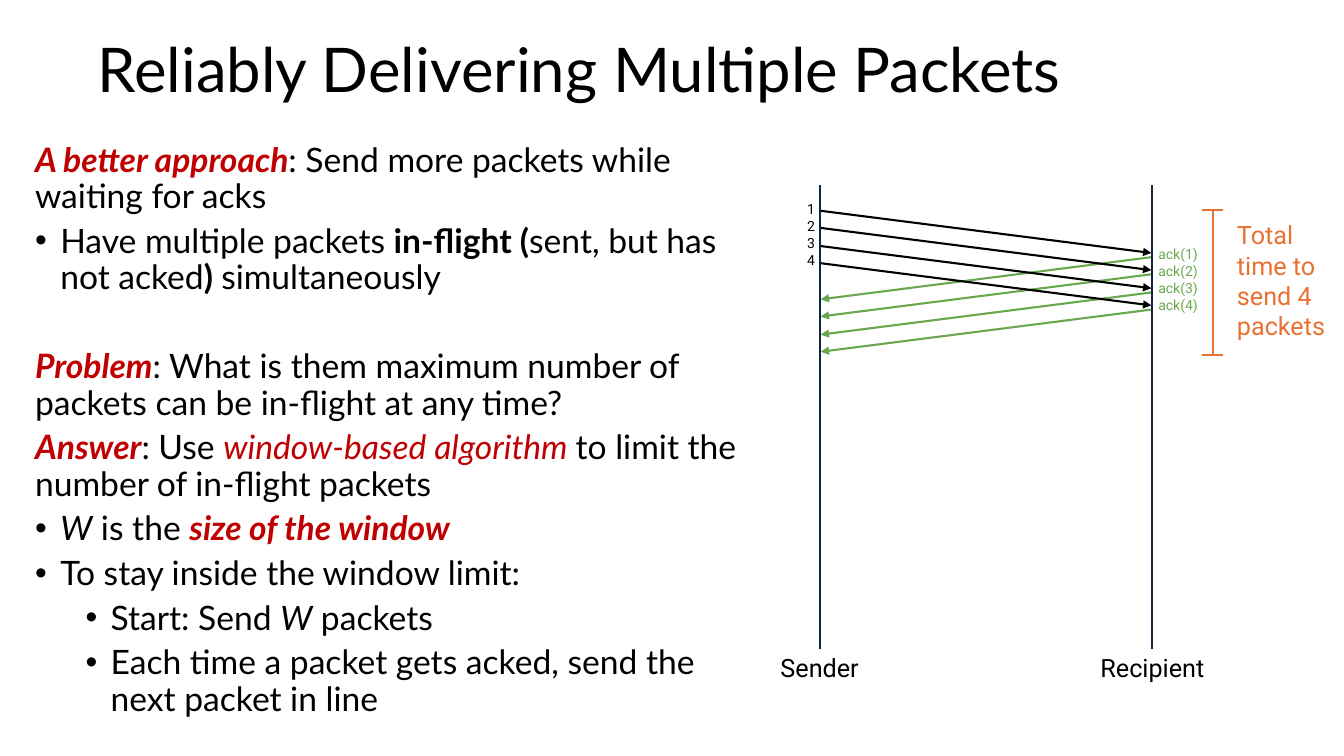
from pptx import Presentation
from pptx import util as u
from pptx.dml.color import RGBColor
from pptx.enum import shapes, text
from pptx.oxml.ns import qn
from lxml import etree

PX = 9144
THEME = {
    "black": "000000", "red": "C00000", "green": "6AA84F",
    "navy": "0E2841", "orange": "E97132",
    "body_font": "Lato", "diagram_font": "Roboto",
    "title": 44, "body": 24, "label": 18, "small": 10, "line": 1.5,
}


def add_text(box, paragraphs, font, size, color, inset=10, align=None):
    shape = slide.shapes.add_textbox(*(value * PX for value in box))
    frame = shape.text_frame
    frame.word_wrap = True
    frame.margin_left = frame.margin_right = 10 * PX
    frame.margin_top = frame.margin_bottom = inset * PX
    for index, runs in enumerate(paragraphs):
        paragraph = frame.paragraphs[0] if index == 0 else frame.add_paragraph()
        paragraph.alignment = align
        for wording, style in runs:
            run = paragraph.add_run()
            run.text = wording
            run.font.name = THEME[font]
            run.font.size = u.Pt(THEME[size])
            run.font.bold = "b" in style
            run.font.italic = "i" in style
            run.font.color.rgb = RGBColor.from_string(THEME["red" if "r" in style else color])
    return shape


def add_line(start, end, color, arrow=False):
    points = (value * PX for value in (*start, *end))
    connector = slide.shapes.add_connector(shapes.MSO_CONNECTOR.STRAIGHT, *points)
    connector.line.color.rgb = RGBColor.from_string(THEME[color])
    connector.line.width = u.Pt(THEME["line"])
    if arrow:
        etree.SubElement(connector.line._get_or_add_ln(), qn("a:tailEnd"), type="triangle")
    etree.SubElement(connector._element.spPr, qn("a:effectLst"))
    return connector


presentation = Presentation()
presentation.slide_width = 1333 * PX
presentation.slide_height = 750 * PX
slide = presentation.slides.add_slide(presentation.slide_layouts[6])

title = add_text((87, 32, 1150, 80), [[("Reliably Delivering Multiple Packets", "")]],
                 "body_font", "title", "black")
title.text_frame.vertical_anchor = text.MSO_ANCHOR.MIDDLE
title.text_frame.paragraphs[0].line_spacing = 0.9

# Each entry: left margin in px (0 means no bullet), space before in points, runs.
body_paragraphs = [
    (0, 6, [("A better approach", "bir"), (": Send more packets while waiting for acks", "")]),
    (25, 6, [("Have multiple packets ", ""), ("in-flight (", "b"), ("sent, but has not acked", ""),
             (") ", "b"), ("simultaneously", "")]),
    (0, 38, [("Problem", "bir"),
             (": What is them maximum number of packets can be in-flight at any time?", "")]),
    (0, 6, [("Answer", "bir"), (": Use ", ""), ("window-based algorithm ", "ir"),
            ("to limit the number of in-flight packets", "")]),
    (25, 6, [("W", "i"), (" is the ", ""), ("size of the window", "bir")]),
    (25, 6, [("To stay inside the window limit:", "")]),
    (75, 6, [("Start: Send ", ""), ("W", "i"), (" packets", "")]),
    (75, 6, [("Each time a packet gets acked, send the next packet in line", "")]),
]
body = add_text((25, 132, 740, 597), [runs for _, _, runs in body_paragraphs],
                "body_font", "body", "black")
for paragraph, (margin, space, _) in zip(body.text_frame.paragraphs, body_paragraphs):
    paragraph.line_spacing = 0.9
    paragraph.space_before = u.Pt(space)
    if margin:
        paragraph.level = 1 if margin > 25 else 0
        properties = paragraph._p.get_or_add_pPr()
        properties.set("marL", str(margin * PX))
        properties.set("indent", str(-25 * PX))
        etree.SubElement(properties, qn("a:buFont"), typeface="Arial")
        etree.SubElement(properties, qn("a:buChar"), char="•")

sender_x, recipient_x = 813, 1143
lifeline_top, lifeline_bottom = 184, 644
packet_top, ack_top, drop = 209, 255, 42

for packet in range(4):
    offset = round(packet * 52 / 3)
    ack_y = ack_top + offset
    packet_y = packet_top + offset
    add_line((recipient_x, ack_y), (sender_x + 1, ack_y + drop), "green", arrow=True)
    add_line((sender_x, packet_y), (recipient_x - 1, packet_y + drop), "black", arrow=True)

add_text((789, 189, 29, 91), [[(str(number), "")] for number in range(1, 5)],
         "diagram_font", "small", "black", align=text.PP_ALIGN.RIGHT)
add_text((1139, 234, 73, 91), [[(f"ack({number})", "")] for number in range(1, 5)],
         "diagram_font", "small", "green")

for name, center, width in (("Sender", sender_x, 120), ("Recipient", recipient_x, 130)):
    label = add_text((center - width // 2, lifeline_bottom, width, 35), [[(name, "")]],
                     "diagram_font", "label", "black", inset=3, align=text.PP_ALIGN.CENTER)
    lifeline = add_line((center, lifeline_top), (center, lifeline_bottom), "navy")
    lifeline.end_connect(label, 0)

bracket_x, bracket_top, bracket_bottom = 1203, 208, 352
add_line((bracket_x, bracket_top), (bracket_x, bracket_bottom), "orange")
for cap_y in (bracket_top, bracket_bottom):
    add_line((bracket_x - 11, cap_y), (bracket_x + 10, cap_y), "orange")
add_text((1217, 208, 109, 147), [[("Total time to send 4 packets", "")]],
         "diagram_font", "label", "orange")

presentation.save("out.pptx")
